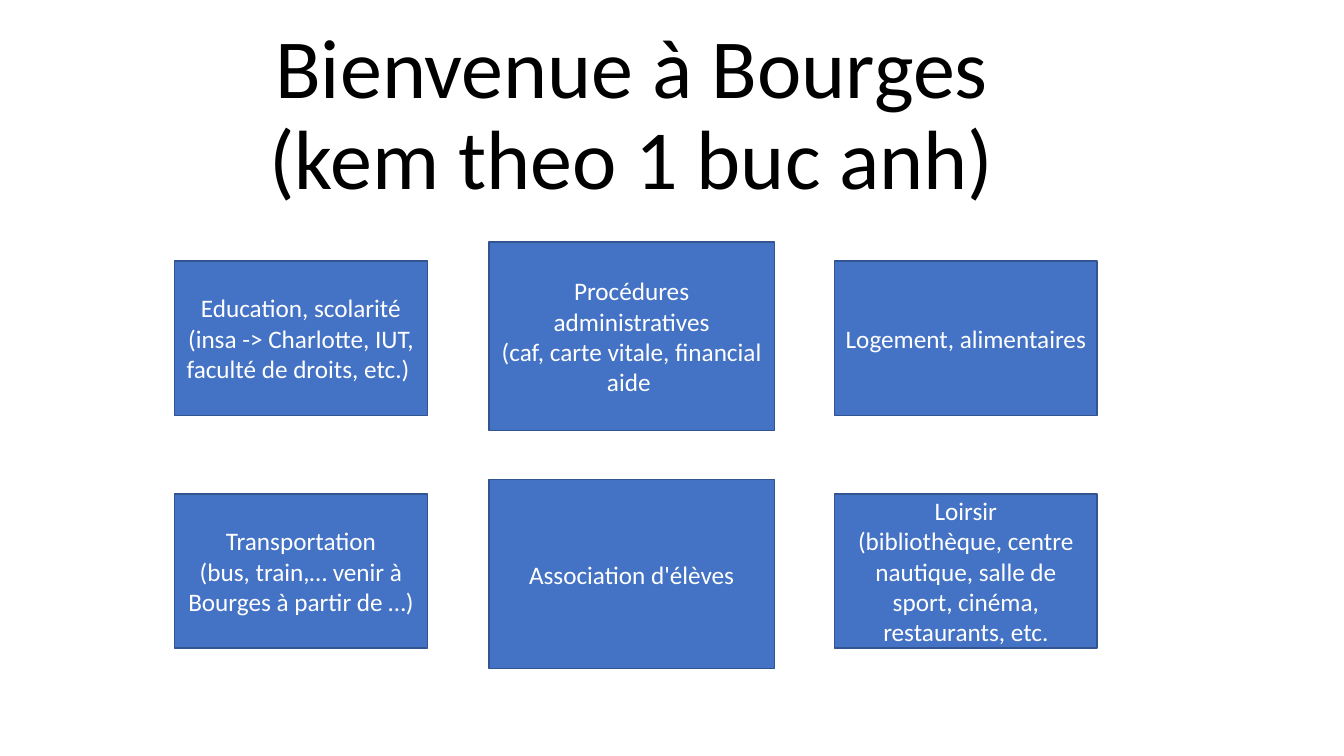
from pptx import Presentation
from pptx.dml.color import RGBColor
from pptx.enum.shapes import MSO_SHAPE
from pptx.enum.text import MSO_ANCHOR, MSO_AUTO_SIZE, PP_ALIGN
from pptx.util import Inches, Pt

COLORS = {"title": "000000", "box": "4472C4", "border": "325491", "box_text": "FFFFFF"}
FONT = "Calibri"

TITLE = ["Bienvenue à Bourges", "(kem theo 1 buc anh)"]
# Each column: left, width, height, tops of its two boxes
COLUMNS = [
    (1.73, 2.51, 1.53, (2.59, 4.9)),
    (4.85, 2.83, 1.87, (2.4, 4.76)),
    (8.28, 2.6, 1.53, (2.59, 4.9)),
]
TOPICS = [
    [
        ["Education, scolarité", "(insa -> Charlotte, IUT, faculté de droits, etc.) "],
        ["Procédures administratives", "(caf, carte vitale, financial aide "],
        ["Logement, alimentaires"],
    ],
    [
        ["Transportation", "(bus, train,… venir à Bourges à partir de …)"],
        ["Association d'élèves"],
        ["Loirsir", "(bibliothèque, centre nautique, salle de sport, cinéma, restaurants, etc."],
    ],
]


def color(name):
    return RGBColor.from_string(COLORS[name])


def write_lines(text_frame, lines, anchor, size, color_name, line_spacing=1.0):
    """Fill a text frame with one centred paragraph per line."""
    frame_format = {
        "text": "\n".join(lines),
        "word_wrap": True,
        "auto_size": MSO_AUTO_SIZE.NONE,
        "vertical_anchor": anchor,
    }
    for name, value in frame_format.items():
        setattr(text_frame, name, value)
    for paragraph in text_frame.paragraphs:
        paragraph.alignment = PP_ALIGN.CENTER
        paragraph.line_spacing = line_spacing
        for run in paragraph.runs:
            for name, value in {"name": FONT, "size": Pt(size)}.items():
                setattr(run.font, name, value)
            run.font.color.rgb = color(color_name)


def format_title(title):
    position = {"left": 0.99, "top": 0.14, "width": 10.55, "height": 1.97}
    for name, value in position.items():
        setattr(title, name, Inches(value))
    write_lines(title.text_frame, TITLE, MSO_ANCHOR.BOTTOM, 60, "title", 0.9)


def add_topic_box(slide, left, top, width, height, lines):
    box = slide.shapes.add_shape(
        MSO_SHAPE.RECTANGLE, Inches(left), Inches(top), Inches(width), Inches(height)
    )
    box.shadow.inherit = False
    box.fill.solid()
    box.fill.fore_color.rgb = color("box")
    box.line.color.rgb = color("border")
    box.line.width = Pt(1)
    write_lines(box.text_frame, lines, MSO_ANCHOR.MIDDLE, 18, "box_text")


def main():
    presentation = Presentation()
    presentation.slide_width = Inches(13.33)
    presentation.slide_height = Inches(7.5)
    slide = presentation.slides.add_slide(presentation.slide_layouts.get_by_name("Title Only"))
    format_title(slide.shapes.title)
    for row, topics in enumerate(TOPICS):
        for (left, width, height, tops), lines in zip(COLUMNS, topics):
            add_topic_box(slide, left, tops[row], width, height, lines)
    presentation.save("out.pptx")


if __name__ == "__main__":
    main()
